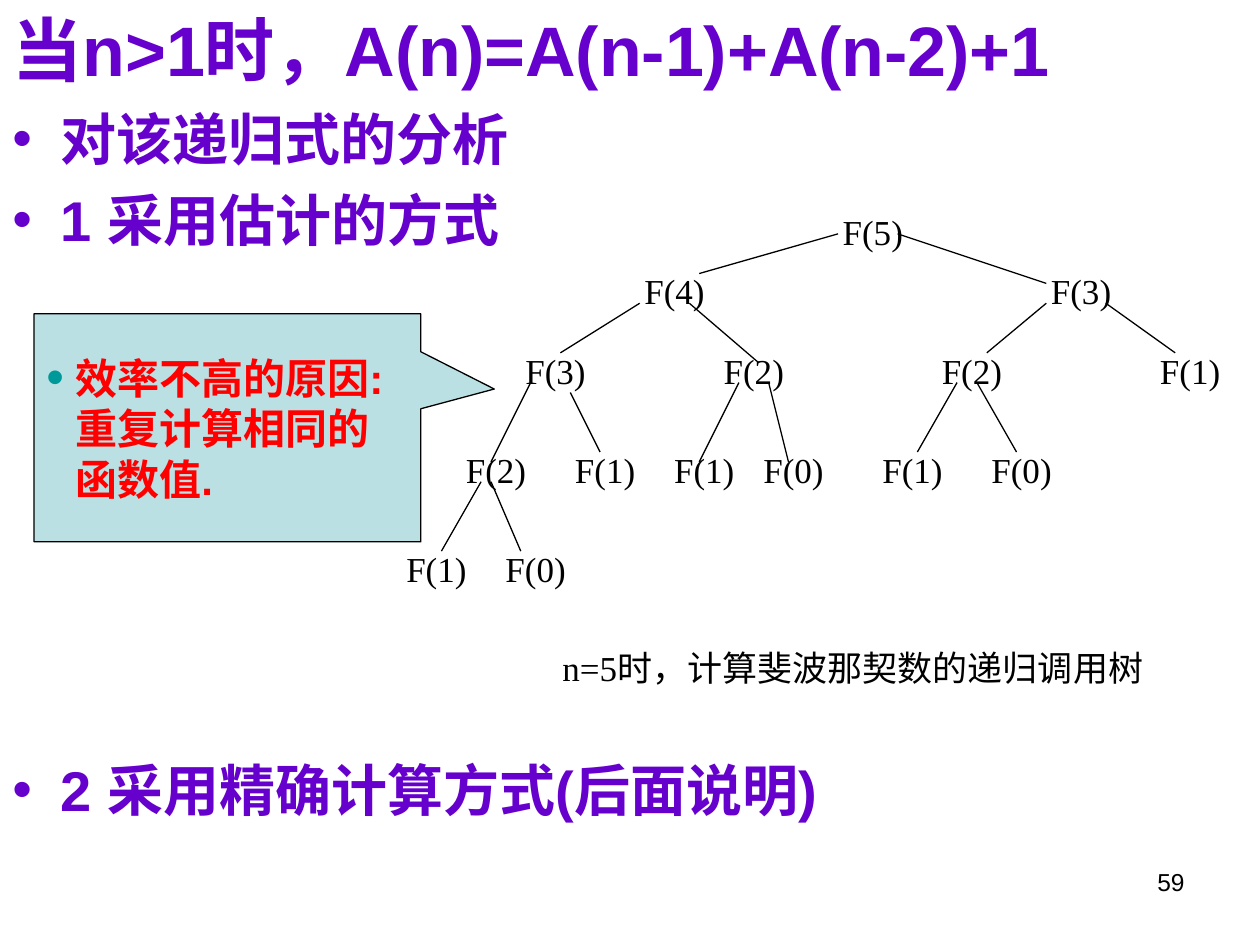
from lxml.etree import SubElement
from pptx import Presentation
from pptx.dml.color import RGBColor
from pptx.enum.shapes import MSO_CONNECTOR as Connector, MSO_SHAPE as Shape
from pptx.enum.text import MSO_ANCHOR as Anchor, MSO_AUTO_SIZE as Fit, PP_ALIGN as Align
from pptx.oxml.ns import qn
from pptx.util import Inches, Pt


def style(paragraph, size, font, colour, bold=False, align=Align.LEFT):
    paragraph.alignment = align
    for run in paragraph.runs:
        run.font.size, run.font.name, run.font.bold = Pt(size), font, bold
        run.font.color.rgb = RGBColor.from_string(colour)


def bullet(paragraph, indent, colour, percent=100):
    props = paragraph._p.get_or_add_pPr()
    props.set("marL", str(Inches(indent)))
    props.set("indent", str(-Inches(indent)))
    SubElement(SubElement(props, qn("a:buClr")), qn("a:srgbClr"), val=colour)
    SubElement(props, qn("a:buSzPct"), val=str(percent * 1000))
    SubElement(props, qn("a:buFont"), typeface="Arial")
    SubElement(props, qn("a:buChar"), char="•")


deck = Presentation()
deck.slide_width, deck.slide_height = Inches(10), Inches(7.5)
W, H = deck.slide_width, deck.slide_height
slide = deck.slides.add_slide(deck.slide_layouts[5])
PURPLE, BLACK = "6600CC", "000000"

heading = slide.shapes.title
heading.left, heading.top, heading.width, heading.height = 0, 0, W, int(H * 0.1)
heading.text_frame.text = "当n>1时，A(n)=A(n-1)+A(n-2)+1"
heading.text_frame.vertical_anchor = Anchor.TOP
heading.text_frame.auto_size = Fit.NONE
style(heading.text_frame.paragraphs[0], 40, "Arial", PURPLE, True)

outline = slide.shapes.add_textbox(0, Inches(0.78), W, H - Inches(0.78)).text_frame
outline.word_wrap = True
outline.text = "对该递归式的分析\n1 采用估计的方式\n2 采用精确计算方式(后面说明)"
for point, gap in zip(outline.paragraphs, (0, 8, 287)):
    point.space_before = Pt(gap)
    style(point, 32, "Arial", PURPLE, True)
    bullet(point, 0.38, PURPLE)

UNIT = W * 0.00787
TREE_LEFT, TREE_TOP = W * 0.311, H * 0.216
labels = [
    ("F(5)", 44, 0), ("F(4)", 24, 6), ("F(3)", 65, 6),
    ("F(3)", 12, 14), ("F(2)", 32, 14), ("F(2)", 54, 14), ("F(1)", 76, 14),
    ("F(2)", 6, 24), ("F(1)", 17, 24), ("F(1)", 27, 24), ("F(0)", 36, 24),
    ("F(1)", 48, 24), ("F(0)", 59, 24), ("F(1)", 0, 34), ("F(0)", 10, 34),
    ("n=5时，计算斐波那契数的递归调用树", 9, 44),
]
branches = [
    (31, 7, 45, 3), (51, 3, 66, 8),
    (25, 10, 17, 15), (30, 10, 37, 16), (66, 10, 60, 15), (72, 10, 79, 15),
    (14, 18, 10, 26), (18, 19, 21, 25), (35, 18, 31, 26), (38, 18, 40, 26),
    (57, 18, 53, 25), (59, 18, 63, 25), (9, 28, 5, 35), (10, 28, 13, 35),
]
tree = slide.shapes.add_group_shape().shapes
for label, column, row in labels:
    columns = 9 if label.startswith("F") else 75
    node = tree.add_textbox(int(TREE_LEFT + column * UNIT), int(TREE_TOP + row * UNIT),
                            int(columns * UNIT), Inches(0.44)).text_frame
    node.word_wrap = True
    node.text = label
    style(node.paragraphs[0], 20, "Times New Roman", BLACK, align=Align.CENTER)
for x1, y1, x2, y2 in branches:
    branch = tree.add_connector(
        Connector.STRAIGHT, int(TREE_LEFT + x1 * UNIT), int(TREE_TOP + y1 * UNIT),
        int(TREE_LEFT + x2 * UNIT), int(TREE_TOP + y2 * UNIT))
    branch.line.width = Pt(0.75)
    branch.line.color.rgb = RGBColor.from_string(BLACK)
    SubElement(branch._element.spPr, qn("a:effectLst"))

reason = slide.shapes.add_shape(Shape.RECTANGULAR_CALLOUT, Inches(0.27), Inches(2.49),
                                Inches(3.07), Inches(1.81))
reason.adjustments[0], reason.adjustments[1] = 0.69, -0.17
reason.shadow.inherit = False
reason.fill.solid()
reason.fill.fore_color.rgb = RGBColor.from_string("BBE0E3")
reason.line.color.rgb = RGBColor.from_string(BLACK)
reason.line.width = Pt(0.75)
reason.text_frame.word_wrap = True
reason.text_frame.vertical_anchor = Anchor.MIDDLE
reason.text_frame.text = "效率不高的原因:重复计算相同的函数值."
cause = reason.text_frame.paragraphs[0]
cause.space_before = Pt(6)
style(cause, 24, "Arial", "FF0000", True)
bullet(cause, 0.23, "009999", 120)

page = slide.shapes.add_textbox(Inches(7.17), Inches(6.83), Inches(2.33), Inches(0.52)).text_frame
page.word_wrap = True
page.text = "59"
style(page.paragraphs[0], 14, "Arial", BLACK, align=Align.RIGHT)

deck.save("out.pptx")
